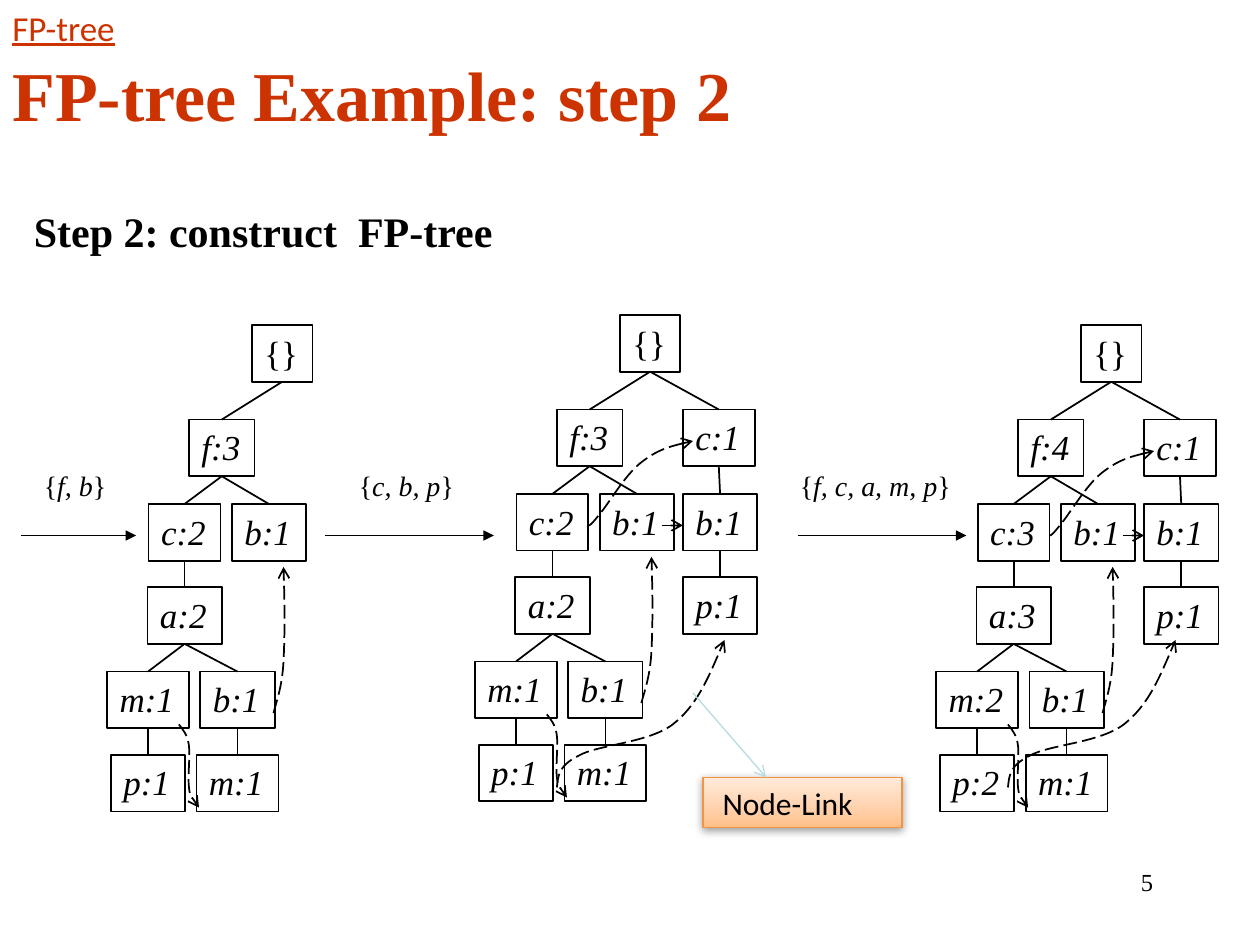
from lxml import etree
from pptx import Presentation
from pptx.dml.color import RGBColor
from pptx.enum import dml, shapes, text
from pptx.oxml import ns
from pptx.util import Inches
from pptx import util as u

COLORS = {
    "ink": "000000",
    "title": "CC3300",
    "callout": "F69240",
    "pointer": "B6DCDF",
}
CALLOUT_STOPS = [(0, "FFBE86"), (35, "FFD0AA"), (100, "FFEBDB")]
SERIF, SANS = "Times New Roman", "Calibri"

NODE_WIDTHS = {"{": 0.48, "f": 0.52, "c": 0.57, "a": 0.59, "b": 0.59, "p": 0.59, "m": 0.65}
NODE_HEIGHT = 0.45
NODES = {
    "root": (0, 0),
    "f": (-0.5, 0.75),
    "c": (-0.82, 1.42),
    "f_b": (-0.16, 1.42),
    "a": (-0.83, 2.08),
    "m": (-1.15, 2.75),
    "a_b": (-0.41, 2.75),
    "p": (-1.12, 3.41),
    "b_m": (-0.44, 3.41),
    "right_c": (0.5, 0.75),
    "right_b": (0.5, 1.42),
    "right_p": (0.5, 2.08),
}
EDGES = [
    ("root", "f"), ("f", "c"), ("f", "f_b"), ("c", "a"), ("a", "m"), ("a", "a_b"),
    ("m", "p"), ("a_b", "b_m"), ("root", "right_c"), ("right_c", "right_b"),
    ("right_b", "right_p"),
]
LEFT_LABELS = {
    "root": "{}", "f": "f:3", "c": "c:2", "f_b": "b:1", "a": "a:2",
    "m": "m:1", "a_b": "b:1", "p": "p:1", "b_m": "m:1",
}
MIDDLE_LABELS = LEFT_LABELS | {"right_c": "c:1", "right_b": "b:1", "right_p": "p:1"}
RIGHT_LABELS = MIDDLE_LABELS | {"f": "f:4", "c": "c:3", "a": "a:3", "m": "m:2", "p": "p:2"}
TREES = [
    ((2, 2.58), LEFT_LABELS),
    ((4.92, 2.5), MIDDLE_LABELS),
    ((8.58, 2.58), RIGHT_LABELS),
]

B_LINK = [(0.17, 3.08), (0.2, 2.97), (0.24, 2.86), (0.25, 2.67),
          (0.26, 2.47), (0.26, 2.2), (0.25, 1.92)]
M_LINK = [(-0.58, 3.17), (-0.55, 3.21), (-0.51, 3.25), (-0.5, 3.34), (-0.49, 3.42),
          (-0.51, 3.59), (-0.5, 3.67), (-0.49, 3.75), (-0.45, 3.79), (-0.42, 3.83)]
C_LINK = [(-0.25, 1.67), (-0.24, 1.67), (-0.23, 1.67), (-0.16, 1.58), (-0.09, 1.5),
          (0.04, 1.27), (0.17, 1.17), (0.3, 1.07), (0.44, 1.03), (0.58, 1)]
P_LINK = [(-0.58, 3.67), (-0.57, 3.58), (-0.57, 3.5), (-0.41, 3.42), (-0.26, 3.33),
          (0.14, 3.32), (0.34, 3.17), (0.53, 3.02), (0.64, 2.76), (0.75, 2.5)]
P_LINK_ORIGINS = [(5, 2.58), (8.58, 2.58)]

STEPS = [
    (0.17, 1.08, 0.25, 0.7, "f, b"),
    (2.58, 3.92, 2.75, 0.96, "c, b, p"),
    (6.33, 7.67, 6.25, 1.4, "f, c, a, m, p"),
]


def write(frame, *runs, size=20, font=SERIF, color="ink", bold=False, italic=(),
          underline=False, align="LEFT", anchor="TOP", wrap=False, grow=True):
    frame.word_wrap = wrap
    if grow:
        frame.auto_size = text.MSO_AUTO_SIZE.SHAPE_TO_FIT_TEXT
    frame.vertical_anchor = text.MSO_ANCHOR[anchor]
    para = frame.paragraphs[0]
    para.alignment = text.PP_ALIGN[align]
    for index, words in enumerate(runs):
        span = para.add_run()
        span.text = words
        span.font.size = u.Pt(size)
        span.font.name = font
        span.font.bold = bold
        span.font.italic = index in italic
        span.font.underline = underline
        span.font.color.rgb = RGBColor.from_string(COLORS[color])


def shift(points, origin):
    return [(x + origin[0], y + origin[1]) for x, y in points]


class Page:
    def __init__(self, deck):
        self.shapes = deck.slides.add_slide(deck.slide_layouts[6]).shapes

    def stroke(self, item, color="ink", width=1, arrow=None, dashed=False):
        item.line.color.rgb = RGBColor.from_string(COLORS[color])
        item.line.width = u.Pt(width)
        if dashed:
            item.line.dash_style = dml.MSO_LINE.LONG_DASH
        if arrow:
            etree.SubElement(item.line._get_or_add_ln(), ns.qn("a:tailEnd"), type=arrow)

    def label(self, left, top, width, height, *runs, **style):
        box = self.shapes.add_textbox(*map(Inches, (left, top, width, height)))
        write(box.text_frame, *runs, **style)

    def box(self, left, top, width, height, *runs, color="ink", line_width=1, **style):
        box = self.shapes.add_shape(
            shapes.MSO_SHAPE.RECTANGLE, *map(Inches, (left, top, width, height)))
        box.shadow.inherit = False
        box.fill.background()
        self.stroke(box, color, line_width)
        write(box.text_frame, *runs, **style)
        return box

    def line(self, start, end, **style):
        line = self.shapes.add_connector(
            shapes.MSO_CONNECTOR.STRAIGHT, *map(Inches, (*start, *end)))
        self.stroke(line, **style)
        etree.SubElement(line._element.spPr, ns.qn("a:effectLst"))

    def curve(self, points):
        start, *rest = [tuple(map(Inches, point)) for point in points]
        builder = self.shapes.build_freeform(*start, scale=1.0)
        builder.add_line_segments(rest, close=False)
        curve = builder.convert_to_shape()
        steps = curve._element.findall(".//" + ns.qn("a:lnTo"))
        for index in range(0, len(steps), 3):
            bezier = etree.Element(ns.qn("a:cubicBezTo"))
            steps[index].addprevious(bezier)
            for step in steps[index:index + 3]:
                bezier.append(step[0])
                step.getparent().remove(step)
        curve.shadow.inherit = False
        curve.fill.background()
        self.stroke(curve, arrow="arrow", dashed=True)

    def callout(self, left, top, width, height, words):
        box = self.box(left, top, width, height, words, color="callout", line_width=0.75,
                       size=18, font=SANS, wrap=True)
        box.fill.gradient()
        box.fill.gradient_angle = 90
        properties = box._element.spPr
        stops = properties.find(".//" + ns.qn("a:gsLst"))
        stops.clear()
        for position, color in CALLOUT_STOPS:
            stop = etree.SubElement(stops, ns.qn("a:gs"), pos=str(position * 1000))
            etree.SubElement(stop, ns.qn("a:srgbClr"), val=color)
        shadow = etree.SubElement(
            properties.find(ns.qn("a:effectLst")), ns.qn("a:outerShdw"),
            blurRad=str(u.Pt(5)), dist=str(u.Pt(1.6)), dir="5400000", rotWithShape="0")
        tint = etree.SubElement(shadow, ns.qn("a:srgbClr"), val=COLORS["ink"])
        etree.SubElement(tint, ns.qn("a:alpha"), val="38000")

    def tree(self, origin, labels):
        centers = {}
        for name, words in labels.items():
            left, top = shift([NODES[name]], origin)[0]
            width = NODE_WIDTHS[words[0]]
            centers[name] = (left + width / 2, top)
            self.box(left, top, width, NODE_HEIGHT, words,
                     italic=() if name == "root" else (0,))
        for parent, child in EDGES:
            if child in labels:
                x, y = centers[parent]
                self.line((x, y + NODE_HEIGHT), centers[child])
        links = [B_LINK, M_LINK]
        if "right_c" in labels:
            links.append(C_LINK)
            self.line(*shift([(0.33, 1.67), (0.5, 1.67)], origin), arrow="arrow", dashed=True)
        for link in links:
            self.curve(shift(link, origin))


def main():
    deck = Presentation()
    deck.slide_width, deck.slide_height = Inches(10), Inches(7.5)
    page = Page(deck)
    page.label(7.17, 6.83, 2.08, 0.5, "5", size=14, align="RIGHT", wrap=True, grow=False)
    page.label(0, 0.33, 9.75, 0.82, "FP-tree Example: step 2", size=40, color="title",
               bold=True, anchor="MIDDLE", wrap=True, grow=False)
    page.label(0, 0, 1.13, 0.43, "FP-tree", font=SANS, color="title", underline=True)
    page.label(0.17, 1.58, 3.85, 0.5, "Step 2: construct  FP-tree", size=24, bold=True)
    for start, end, left, width, items in STEPS:
        page.line((start, 4.25), (end, 4.25), width=0.75, arrow="triangle")
        page.label(left, 3.67, width, 0.37, "{", items, "}", size=16, italic=(1,))
    for origin, labels in TREES:
        page.tree(origin, labels)
    for origin in P_LINK_ORIGINS:
        page.curve(shift(P_LINK, origin))
    page.callout(5.58, 6.17, 1.58, 0.4, " Node-Link")
    page.line((5.5, 5.5), (6.08, 6.17), color="pointer", width=0.75, arrow="arrow")
    deck.save("out.pptx")


if __name__ == "__main__":
    main()
